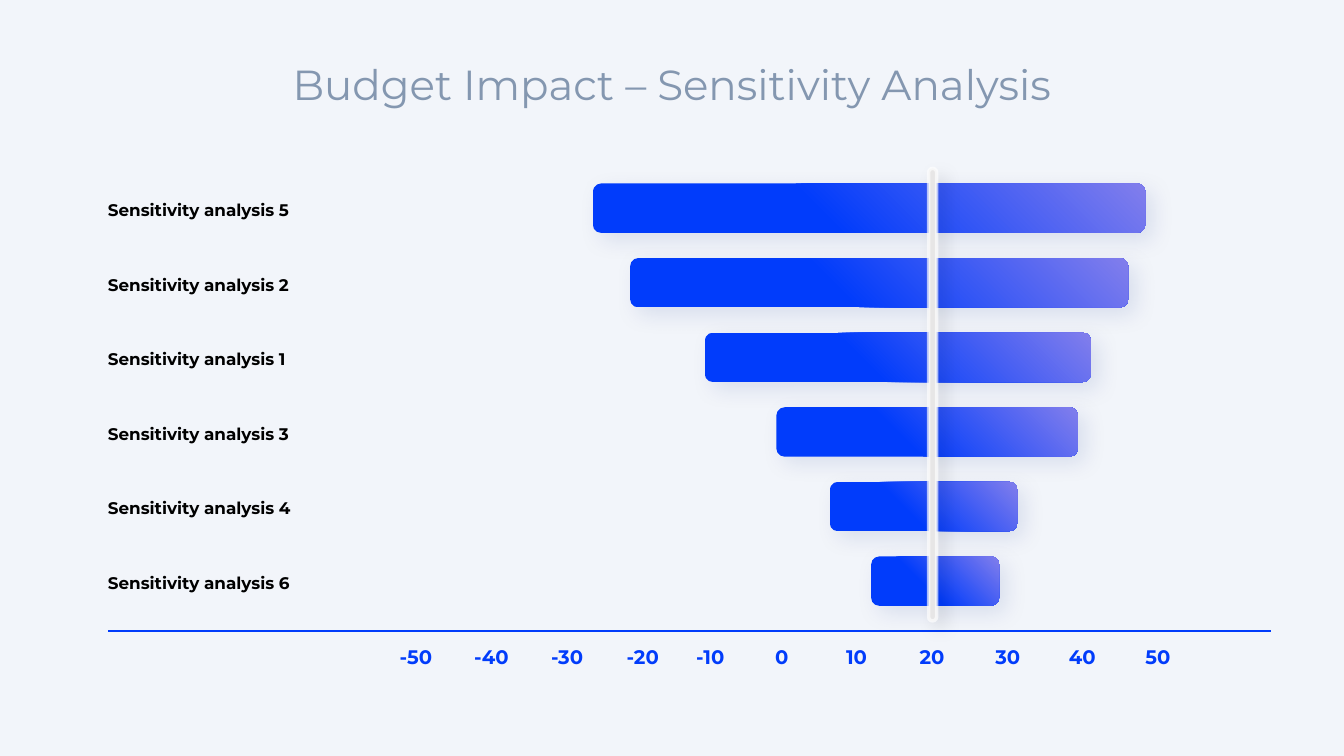
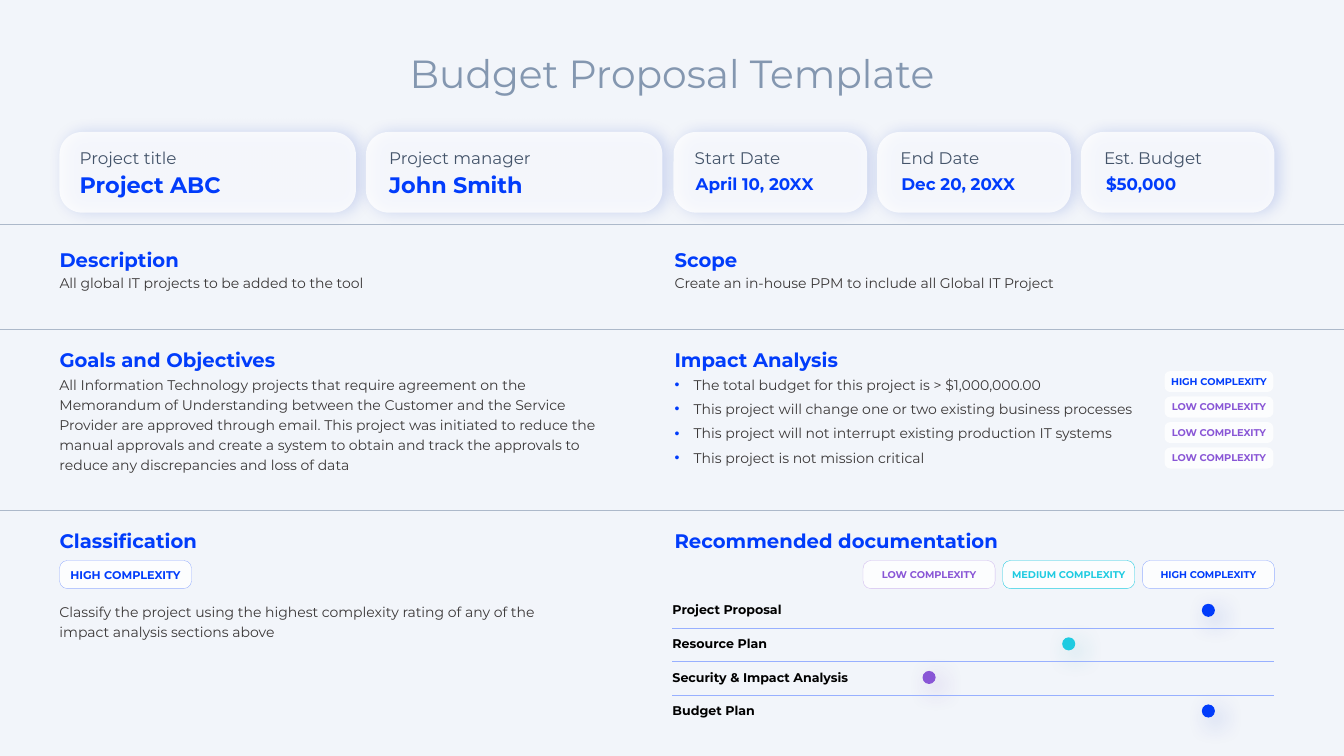
"""Build two budget slides: a sensitivity tornado and a project proposal."""
from lxml import etree
from pptx import Presentation
from pptx.dml.color import RGBColor
from pptx.enum.shapes import MSO_CONNECTOR, MSO_SHAPE as Preset
from pptx.enum.text import MSO_ANCHOR as Anchor, PP_ALIGN as Align
from pptx.oxml.ns import qn
from pptx.util import Inches, Pt

FONT = "Montserrat"
PAPER = RGBColor(0xF2, 0xF5, 0xFA)
WHITE = RGBColor(0xFF, 0xFF, 0xFF)
BLACK = RGBColor(0x00, 0x00, 0x00)
BLUE = RGBColor(0x01, 0x3C, 0xFB)
LILAC = RGBColor(0x82, 0x7E, 0xEC)
PURPLE = RGBColor(0x89, 0x56, 0xD6)
CYAN = RGBColor(0x1F, 0xCB, 0xE1)
PALE_BLUE = RGBColor(0x98, 0xB0, 0xFF)
PALE_PURPLE = RGBColor(0xD0, 0xBB, 0xEF)
NAVY = RGBColor(0x00, 0x1E, 0x7E)
DEEP_BLUE = RGBColor(0x01, 0x2D, 0xBC)
DEEP_CYAN = RGBColor(0x17, 0x99, 0xA9)
DEEP_PURPLE = RGBColor(0x63, 0x2C, 0xB5)
TITLE_GREY = RGBColor(0x84, 0x97, 0xB0)
RULE_GREY = RGBColor(0xAD, 0xB9, 0xCA)
LABEL_GREY = RGBColor(0x44, 0x54, 0x6A)
BODY_GREY = RGBColor(0x3B, 0x38, 0x38)
MARKER_GREY = RGBColor(0xE7, 0xE6, 0xE6)

SLIDE_WIDTH, SLIDE_HEIGHT = 13.33, 7.5

BARS = [
    ("Sensitivity analysis 5", 5.88, 5.48),
    ("Sensitivity analysis 2", 6.25, 4.94),
    ("Sensitivity analysis 1", 6.99, 3.83),
    ("Sensitivity analysis 3", 7.7, 2.99),
    ("Sensitivity analysis 4", 8.23, 1.86),
    ("Sensitivity analysis 6", 8.64, 1.27),
]
BAR_TOP, BAR_PITCH = 1.82, 0.74
TICKS = [
    ("-50", 3.75), ("-40", 4.5), ("-30", 5.25), ("-20", 6), ("-10", 6.67),
    ("0", 7.38), ("10", 8.12), ("20", 8.87), ("30", 9.62), ("40", 10.36),
    ("50", 11.11),
]

CARDS = [
    ("Project title", "Project ABC", 0.59, 2.94, 0.2, 0.2, 16),
    ("Project manager", "John Smith", 3.63, 2.94, 0.23, 0.23, 16),
    ("Start Date", "April 10, 20XX", 6.68, 1.92, 0.21, 0.22, 12),
    ("End Date", "Dec 20, 20XX", 8.7, 1.92, 0.23, 0.24, 12),
    ("Est. Budget", "$50,000", 10.72, 1.92, 0.23, 0.25, 12),
]
LEFT_COLUMN, RIGHT_COLUMN = 0.59, 6.69
DIVIDERS = [2.23, 3.27, 5.06]
SECTIONS = [
    ("Description", LEFT_COLUMN, 2.36, 2.64, 3.75,
     ["All global IT projects to be added to the tool"]),
    ("Scope", RIGHT_COLUMN, 2.36, 2.64, 5.95,
     ["Create an in-house PPM to include all Global IT Project"]),
    ("Goals and Objectives", LEFT_COLUMN, 3.36, 3.65, 5.57,
     ["All Information Technology projects that require agreement on the "
      "Memorandum of Understanding between the Customer and the Service "
      "Provider are approved through email. This project was initiated to "
      "reduce the manual approvals and create a system to obtain and track "
      "the approvals to reduce any discrepancies and loss of data"]),
    ("Impact Analysis", RIGHT_COLUMN, 3.36, 3.65, 5.95,
     ["The total budget for this project is > $1,000,000.00",
      "This project will change one or two existing business processes",
      "This project will not interrupt existing production IT systems",
      "This project is not mission critical"]),
    ("Classification", LEFT_COLUMN, 5.15, 5.9, 5.14,
     ["Classify the project using the highest complexity rating of any of "
      "the impact analysis sections above"]),
    ("Recommended documentation", RIGHT_COLUMN, 5.15, None, None, []),
]
LEVELS = {
    "LOW": (PURPLE, PALE_PURPLE, DEEP_PURPLE),
    "MEDIUM": (CYAN, CYAN, DEEP_CYAN),
    "HIGH": (BLUE, PALE_BLUE, DEEP_BLUE),
}
IMPACT_LEVELS = ["HIGH", "LOW", "LOW", "LOW"]
DOCUMENTS = [
    ("Project Proposal", "HIGH"),
    ("Resource Plan", "MEDIUM"),
    ("Security & Impact Analysis", "LOW"),
    ("Budget Plan", "HIGH"),
]
PILL_LEFT, PILL_TOP, PILL_WIDTH, PILL_HEIGHT = 8.56, 5.56, 1.31, 0.28
PILL_PITCH = 1.385
DOT = 0.13


def add_page(deck):
    page = deck.slides.add_slide(deck.slide_layouts[6])
    page.background.fill.solid()
    page.background.fill.fore_color.rgb = PAPER
    return page


def write(box, lines, size, color, bold=False, align=Align.LEFT,
          anchor=Anchor.TOP, spacing=None, side=0.0, wrap=True, bullets=False):
    frame = box.text_frame
    frame.word_wrap = wrap
    frame.vertical_anchor = anchor
    frame.margin_left = frame.margin_right = Inches(side)
    frame.margin_top = frame.margin_bottom = Inches(0.05)
    for index, line in enumerate(lines):
        para = frame.add_paragraph() if index else frame.paragraphs[0]
        para.text = line
        para.alignment = align
        if spacing:
            para.line_spacing = spacing
        if index:
            para.space_before = Pt(3)
        if bullets:
            add_bullet(para)
        para.font.name = FONT
        para.font.size = Pt(size)
        para.font.bold = bold
        para.font.color.rgb = color


def add_bullet(para):
    props = para._p.get_or_add_pPr()
    props.set("marL", str(Inches(0.19)))
    props.set("indent", str(-Inches(0.19)))
    tint = etree.SubElement(props, qn("a:buClr"))
    etree.SubElement(tint, qn("a:srgbClr"), val=str(BLUE))
    etree.SubElement(props, qn("a:buFont"), typeface="Arial")
    etree.SubElement(props, qn("a:buChar"), char="•")


def add_text(page, left, top, width, height, lines, size, color, **style):
    box = page.shapes.add_textbox(
        Inches(left), Inches(top), Inches(width), Inches(height))
    write(box, lines, size, color, **style)


def add_title(page, text, top, size):
    add_text(page, 2.76, top, 7.81, 0.6, [text], size, TITLE_GREY,
             align=Align.CENTER, wrap=False)


def add_line(page, left, right, y, color, weight):
    line = page.shapes.add_connector(
        MSO_CONNECTOR.STRAIGHT, Inches(left), Inches(y), Inches(right), Inches(y))
    line.line.color.rgb = color
    line.line.width = Pt(weight)
    etree.SubElement(line._element.spPr, qn("a:effectLst"))


def set_alpha(parent, percent):
    color = parent.find(qn("a:solidFill"))[0]
    etree.SubElement(color, qn("a:alpha"), val=str(percent * 1000))


def add_shape(page, preset, left, top, width, height, fill=None, alpha=None,
              round_by=None, outline=None, weight=0.25):
    shape = page.shapes.add_shape(
        preset, Inches(left), Inches(top), Inches(width), Inches(height))
    if round_by is not None:
        shape.adjustments[0] = round_by
    if fill is not None:
        shape.fill.solid()
        shape.fill.fore_color.rgb = fill
    if alpha:
        set_alpha(shape._element.spPr, alpha)
    if outline is None:
        shape.line.fill.background()
    else:
        shape.line.color.rgb = outline
        shape.line.width = Pt(weight)
    shape.shadow.inherit = False
    return shape


def add_shadow(shape, color, alpha, blur, distance, degrees):
    effects = shape._element.spPr.find(qn("a:effectLst"))
    shadow = etree.SubElement(
        effects, qn("a:outerShdw"), blurRad=str(Pt(blur)),
        dist=str(Pt(distance)), dir=str(degrees * 60000), algn="ctr",
        rotWithShape="0")
    tint = etree.SubElement(shadow, qn("a:srgbClr"), val=str(color))
    etree.SubElement(tint, qn("a:alpha"), val=str(alpha * 1000))


def fill_from_corner(shape):
    shape.fill.gradient()
    stops = shape.fill.gradient_stops
    for stop, color, position in zip(stops, (LILAC, BLUE), (0, 0.59)):
        stop.color.rgb = color
        stop.position = position
    gradient = shape._element.spPr.find(qn("a:gradFill"))
    linear = gradient.find(qn("a:lin"))
    radial = etree.Element(qn("a:path"), path="circle")
    etree.SubElement(radial, qn("a:fillToRect"), l="100000", b="100000")
    gradient.replace(linear, radial)


def add_pill(page, level, left, top, width=PILL_WIDTH, height=PILL_HEIGHT,
             size=7, outlined=True):
    color, edge, _ = LEVELS[level]
    pill = add_shape(page, Preset.ROUNDED_RECTANGLE, left, top, width, height,
                     WHITE, 80, 0.28, edge if outlined else None)
    write(pill, [f"{level} COMPLEXITY"], size, color, bold=True,
          align=Align.CENTER, anchor=Anchor.MIDDLE, wrap=False)


def build_sensitivity(deck):
    page = add_page(deck)
    add_title(page, "Budget Impact – Sensitivity Analysis", 0.53, 30)
    add_line(page, 1.07, 12.61, 6.26, BLUE, 1.25)
    for text, left in TICKS:
        add_text(page, left, 6.34, 0.75, 0.34, [text], 14, BLUE, bold=True,
                 align=Align.CENTER, anchor=Anchor.MIDDLE, side=0.1)
    for row, (label, left, width) in enumerate(BARS):
        top = BAR_TOP + row * BAR_PITCH
        add_text(page, 1.07, top - 0.06, 2.21, 0.61, [label], 12, BLACK,
                 bold=True, anchor=Anchor.MIDDLE, spacing=Pt(16.8))
        bar = add_shape(page, Preset.ROUNDED_RECTANGLE, left, top, width, 0.49)
        fill_from_corner(bar)
        add_shadow(bar, NAVY, 10, 16, 7, 45)
    marker = add_shape(page, Preset.ROUNDED_RECTANGLE, 9.21, 1.67, 0.08, 4.49,
                       MARKER_GREY, round_by=0.5, outline=WHITE, weight=2.5)
    set_alpha(marker._element.spPr.find(qn("a:ln")), 66)
    add_shadow(marker, BLACK, 10, 12, 7, 45)


def build_proposal(deck):
    page = add_page(deck)
    add_title(page, "Budget Proposal Template", 0.44, 28)
    for label, value, left, width, label_inset, value_inset, size in CARDS:
        card = add_shape(page, Preset.ROUNDED_RECTANGLE, left, 1.31, width, 0.8,
                         WHITE, 80, 0.28)
        add_shadow(card, DEEP_BLUE, 20, 11, 3, 0)
        add_text(page, left + label_inset, 1.38, 1.65, 0.32, [label], 12,
                 LABEL_GREY, spacing=1.2)
        add_text(page, left + value_inset, 1.6, 1.6, 0.4, [value], size, BLUE,
                 bold=True, anchor=Anchor.MIDDLE, spacing=1.2)

    for y in DIVIDERS:
        add_line(page, 0, SLIDE_WIDTH, y, RULE_GREY, 0.5)
    for heading, left, top, body_top, width, lines in SECTIONS:
        add_text(page, left, top, 4.28, 0.36, [heading], 14, BLUE, bold=True,
                 spacing=1.2)
        if lines:
            add_text(page, left, body_top, width, 0.29, lines, 10, BODY_GREY,
                     spacing=1.2, bullets=len(lines) > 1)

    for row, level in enumerate(IMPACT_LEVELS):
        add_pill(page, level, 11.55, 3.68 + row * 0.253, 1.08, 0.21,
                 outlined=False)
    add_pill(page, "HIGH", LEFT_COLUMN, PILL_TOP, size=8)

    centers = {}
    for column, level in enumerate(LEVELS):
        left = PILL_LEFT + column * PILL_PITCH
        centers[level] = left + PILL_WIDTH / 2
        add_pill(page, level, left, PILL_TOP)
    for row, (name, level) in enumerate(DOCUMENTS):
        top = 5.91 + row * 0.333
        color, _, shade = LEVELS[level]
        add_text(page, 6.67, top, 2.03, 0.28, [name], 9, BLACK, bold=True,
                 anchor=Anchor.MIDDLE)
        dot = add_shape(page, Preset.OVAL, centers[level] - DOT / 2, top + 0.08,
                        DOT, DOT, color)
        add_shadow(dot, shade, 35, 18, 7, 45)
        if row < len(DOCUMENTS) - 1:
            add_line(page, 6.67, 12.64, top + 0.32, PALE_BLUE, 0.5)


def main():
    deck = Presentation()
    deck.slide_width = Inches(SLIDE_WIDTH)
    deck.slide_height = Inches(SLIDE_HEIGHT)
    build_sensitivity(deck)
    build_proposal(deck)
    deck.save("out.pptx")


if __name__ == "__main__":
    main()
